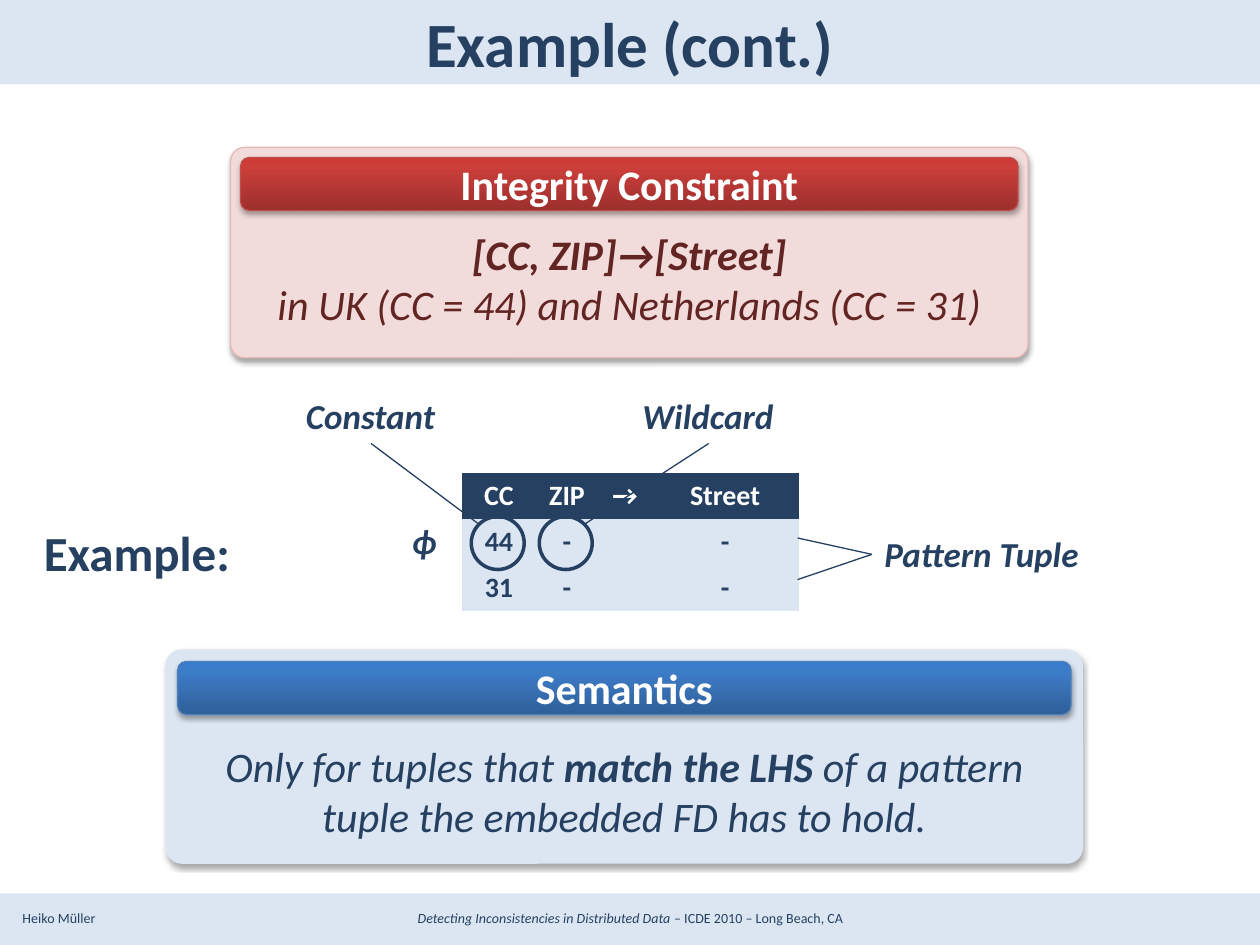
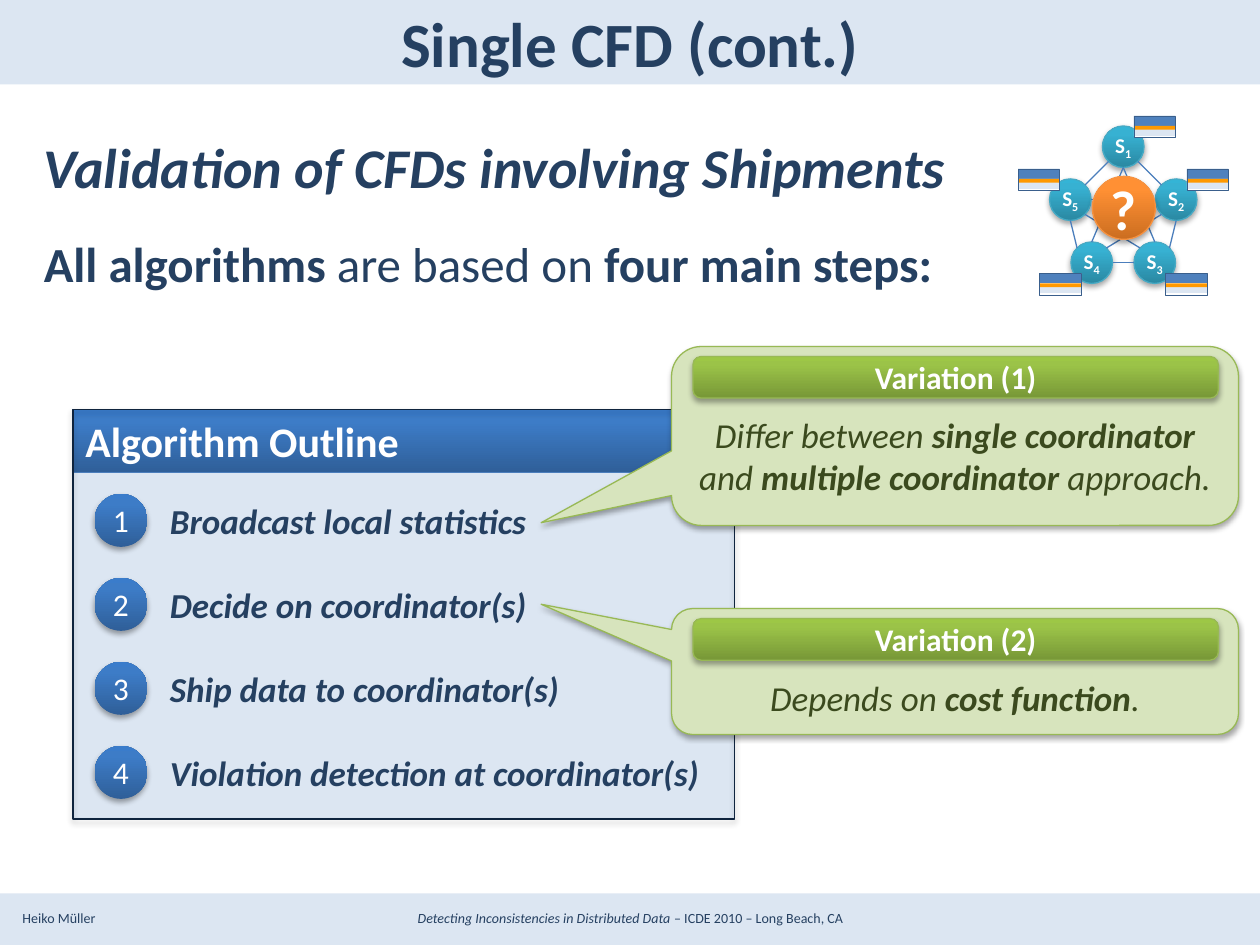
import copy
import math

import pptx
import pptx.dml.color
import pptx.enum.shapes
import pptx.enum.text
import pptx.oxml.ns
import pptx.oxml.xmlchemy
import pptx.util
import lxml.etree

Inches = pptx.util.Inches
Pt = pptx.util.Pt
RGBColor = pptx.dml.color.RGBColor
Shape = pptx.enum.shapes.MSO_SHAPE
Align = pptx.enum.text.PP_ALIGN
Anchor = pptx.enum.text.MSO_ANCHOR
qn = pptx.oxml.ns.qn

FONT = "Calibri"
NO_GRID_STYLE = "{2D5ABB26-0587-4C30-8999-92F81FD0307C}"
NAVY = RGBColor(0x25, 0x40, 0x61)
PALE_BLUE = RGBColor(0xDC, 0xE6, 0xF2)
WHITE = RGBColor(0xFF, 0xFF, 0xFF)
BLUE_EDGE = RGBColor(0x4B, 0x7E, 0xBC)
OUTLINE_EDGE = RGBColor(0x0F, 0x24, 0x3E)
PINK = RGBColor(0xF2, 0xDC, 0xDB)
PINK_EDGE = RGBColor(0xE6, 0xB9, 0xB8)
RED_EDGE = RGBColor(0xBF, 0x4C, 0x48)
DARK_RED = RGBColor(0x63, 0x25, 0x23)
PALE_GREEN = RGBColor(0xD7, 0xE4, 0xBD)
GREEN_EDGE = RGBColor(0x98, 0xB9, 0x55)
DARK_GREEN = RGBColor(0x3B, 0x4A, 0x1E)
TEAL_EDGE = RGBColor(0x46, 0xAA, 0xC5)
ORANGE_EDGE = RGBColor(0xF6, 0x92, 0x40)
FLAG_BLUE = RGBColor(0x4F, 0x81, 0xBD)
FLAG_ORANGE = RGBColor(0xFF, 0x99, 0x00)
FLAG_EDGE = RGBColor(0x3A, 0x5F, 0x8C)
BLUE_BLEND = (RGBColor(0x2F, 0x5F, 0x99), RGBColor(0x3D, 0x7C, 0xC7), RGBColor(0x3A, 0x7C, 0xCB))
RED_BLEND = (RGBColor(0x9C, 0x2F, 0x2D), RGBColor(0xCB, 0x3E, 0x3A), RGBColor(0xCE, 0x3B, 0x37))
TEAL_BLEND = (RGBColor(0x2A, 0x88, 0xA2), RGBColor(0x37, 0xB1, 0xD2), RGBColor(0x34, 0xB4, 0xD6))
ORANGE_BLEND = (RGBColor(0xCC, 0x6E, 0x20), RGBColor(0xFF, 0x90, 0x34), RGBColor(0xFF, 0x91, 0x36))
GREEN_BLEND = (RGBColor(0x77, 0x97, 0x37), RGBColor(0x9B, 0xC3, 0x48), RGBColor(0x9D, 0xC7, 0x46))


def format_span(span, size, color, style=""):
    span.font.name = FONT
    span.font.size = Pt(size)
    span.font.color.rgb = color
    span.font.bold = "b" in style
    span.font.italic = "i" in style


def write(box, lines, size, color, align=Align.LEFT, anchor=Anchor.TOP, wrap=True):
    frame = box.text_frame
    frame.word_wrap = wrap
    frame.vertical_anchor = anchor
    for number, line in enumerate(lines):
        para = frame.add_paragraph() if number else frame.paragraphs[0]
        para.alignment = align
        for text, style in line:
            span = para.add_run()
            span.text = text
            format_span(span, size, color, style)
    return frame


def add_label(page, left, top, width, height, lines, size, **options):
    box = page.shapes.add_textbox(Inches(left), Inches(top), Inches(width), Inches(height))
    write(box, lines, size, NAVY, **options)
    return box


def blend(box, colors):
    box.fill.gradient()
    box.fill.gradient_angle = 90
    stops = box._element.spPr.find(".//" + qn("a:gsLst"))
    stops.append(copy.deepcopy(stops[-1]))
    for stop, color, position in zip(box.fill.gradient_stops, colors, (0, 0.8, 1)):
        stop.color.rgb = color
        stop.position = position


def cast_shadow(box):
    effects = box._element.spPr.find(qn("a:effectLst"))
    shadow = lxml.etree.SubElement(effects, qn("a:outerShdw"), blurRad="40000", dist="23000",
                                   dir="5400000", rotWithShape="0")
    tint = lxml.etree.SubElement(shadow, qn("a:srgbClr"), val="000000")
    lxml.etree.SubElement(tint, qn("a:alpha"), val="35000")


def add_box(page, kind, left, top, width, height, fill=None, edge=None, weight=0.75,
            shadow=False, adjust=()):
    box = page.shapes.add_shape(kind, Inches(left), Inches(top), Inches(width), Inches(height))
    box.shadow.inherit = False
    if fill is None:
        box.fill.background()
    elif isinstance(fill, RGBColor):
        box.fill.solid()
        box.fill.fore_color.rgb = fill
    else:
        blend(box, fill)
    if edge is None:
        box.line.fill.background()
    else:
        box.line.color.rgb = edge
        box.line.width = Pt(weight)
    if shadow:
        cast_shadow(box)
    for number, value in enumerate(adjust):
        box.adjustments[number] = value
    return box


def add_line(page, start, end, color=NAVY):
    line = page.shapes.add_connector(pptx.enum.shapes.MSO_CONNECTOR.STRAIGHT,
                                     *(Inches(value) for value in (*start, *end)))
    line.line.color.rgb = color
    line.line.width = Pt(0.75)
    lxml.etree.SubElement(line._element.spPr, qn("a:effectLst"))
    return line


def add_banner(page, left, top, width, height, text, size, colors, edge, adjust=()):
    banner = add_box(page, Shape.ROUNDED_RECTANGLE, left, top, width, height, colors, edge,
                     shadow=True, adjust=adjust)
    write(banner, [[(text, "b")]], size, WHITE, Align.CENTER, Anchor.MIDDLE)


def add_disc(page, left, top, size, parts, font_size, colors, edge=None):
    disc = add_box(page, Shape.OVAL, left, top, size, size, colors, edge, shadow=True)
    frame = write(disc, [parts], font_size, WHITE, Align.CENTER, Anchor.MIDDLE, False)
    frame.margin_left = frame.margin_right = frame.margin_top = frame.margin_bottom = 0
    return frame.paragraphs[0].runs


def add_page(deck, title):
    page = deck.slides.add_slide(deck.slide_layouts[5])
    add_box(page, Shape.RECTANGLE, 0, 0.67, 10, 6.42, WHITE)
    add_label(page, 0.08, 7.17, 1, 0.24, [[("Heiko Müller", "")]], 8)
    add_label(page, 0.17, 7.17, 9.67, 0.24,
              [[("Detecting Inconsistencies in Distributed Data ", "i"),
                ("– ICDE 2010 – Long Beach, CA", "")]], 8, align=Align.CENTER)
    heading = page.shapes.title
    heading.left, heading.top = Inches(0.5), 0
    heading.width, heading.height = Inches(9), Inches(0.67)
    write(heading, [[(title, "b")]], 36, NAVY, Align.CENTER, Anchor.MIDDLE)
    return page


def add_card(page, left, top, width, height, title, lines, text_color, fill, edge, weight,
             colors, banner_edge, top_margin):
    card = add_box(page, Shape.ROUNDED_RECTANGLE, left, top, width, height, fill, edge, weight,
                   True, (0.067,))
    frame = write(card, lines, 24, text_color, Align.CENTER, Anchor.MIDDLE)
    frame.margin_top = Inches(top_margin)
    add_banner(page, left + 0.08, top + 0.08, width - 0.16, 0.42, title, 24, colors, banner_edge)


def add_tableau(page, left, top):
    rows = (("CC", "ZIP", "→", "Street"), ("44", "-", "", "-"), ("31", "-", "", "-"))
    widths = (0.58, 0.5, 0.42, 1.17)
    table = page.shapes.add_table(len(rows), len(widths), Inches(left), Inches(top),
                                  Inches(sum(widths)), Inches(1.1)).table
    table._tbl.tblPr.find(qn("a:tableStyleId")).text = NO_GRID_STYLE
    for column, width in zip(table.columns, widths):
        column.width = Inches(width)
    for row_number, row in enumerate(rows):
        for column_number, text in enumerate(row):
            cell = table.cell(row_number, column_number)
            cell.fill.solid()
            cell.fill.fore_color.rgb = PALE_BLUE if row_number else NAVY
            cell.vertical_anchor = Anchor.MIDDLE
            cell.text_frame.text = text
            para = cell.text_frame.paragraphs[0]
            para.alignment = Align.CENTER
            if not text:
                para._p.get_or_add_endParaRPr().set("sz", "1600")
            for span in para.runs:
                format_span(span, 16, NAVY if row_number else WHITE, "b")


def add_tableau_notes(page, left, top):
    add_label(page, left - 3.42, top + 0.35, 9.5, 0.58, [[("Example:", "b")]], 28)
    tuple_label = add_label(page, left + 3.25, top + 0.43, 1.76, 0.44,
                            [[("Pattern Tuple", "bi")]], 20, wrap=False)
    for height in (0.52, 0.85):
        line = add_line(page, (left + 3.25, top + 0.65), (left + 2.66, top + height))
        line.begin_connect(tuple_label, 1)
    for text, label_left, width, ring_left, touch in (("Wildcard", 1.33, 1.25, 0.61, 0.36),
                                                      ("Constant", -1.34, 1.23, 0.07, 0.06)):
        add_box(page, Shape.OVAL, left + ring_left, top + 0.35, 0.42, 0.42, edge=NAVY, weight=2)
        label = add_label(page, left + label_left, top - 0.67, width, 0.44,
                          [[(text, "bi")]], 20, wrap=False)
        line = add_line(page, (left + ring_left + touch, top + 0.41),
                        (left + label_left + width / 2, top - 0.23))
        line.end_connect(label, 2)


def add_outline(page, left, top, width, height):
    add_box(page, Shape.RECTANGLE, left, top, width, height, PALE_BLUE)
    header = add_box(page, Shape.RECTANGLE, left, top, width, 0.5, BLUE_BLEND, BLUE_EDGE)
    write(header, [[("Algorithm Outline", "b")]], 24, WHITE, anchor=Anchor.MIDDLE)
    steps = ("Broadcast local statistics", "Decide on coordinator(s)",
             "Ship data to coordinator(s)", "Violation detection at coordinator(s)")
    for number, step in enumerate(steps):
        step_top = top + 0.67 + number * 2 / 3
        add_disc(page, left + 0.17, step_top, 0.42, [(str(number + 1), "")], 18, BLUE_BLEND)
        add_label(page, left + 0.67, step_top, width - 0.67, 0.42, [[(step, "bi")]], 20,
                  anchor=Anchor.MIDDLE)
    add_box(page, Shape.RECTANGLE, left, top, width, height, edge=OUTLINE_EDGE, shadow=True)


def add_flag(page, left, top):
    width, stripe = 0.33, 0.08
    add_box(page, Shape.RECTANGLE, left, top, width, stripe, FLAG_BLUE, WHITE, 0.25)
    add_box(page, Shape.RECTANGLE, left, top + stripe, width, stripe, PALE_BLUE, WHITE, 0.25)
    add_box(page, Shape.RECTANGLE, left, top + stripe, width, 0.03, FLAG_ORANGE)
    add_box(page, Shape.RECTANGLE, left, top, width, 0.17, edge=FLAG_EDGE, weight=0.25)


def add_network(page, left, top):
    size = 0.33
    sites = {1: (0.67, 0.08), 5: (0.25, 0.5), 2: (1.09, 0.5), 4: (0.42, 1), 3: (0.92, 1)}
    links = ((1, 45, 2, 225), (2, 90, 3, 315), (4, 0, 3, 180), (4, 225, 5, 90), (5, 315, 1, 135),
             (5, 0, 2, 180), (5, 45, 3, 225), (2, 135, 4, 315), (4, 270, 1, 90), (1, 90, 3, 270))
    flags = {5: (-0.25, -0.08), 1: (0.25, -0.08), 2: (0.25, -0.08), 3: (0.25, 0.25),
             4: (-0.25, 0.25)}

    def rim(site, degrees):
        angle = math.radians(degrees)
        across, down = sites[site]
        return (left + across + size / 2 * (1 + math.cos(angle)),
                top + down + size / 2 * (1 + math.sin(angle)))

    for site, (across, down) in sites.items():
        spans = add_disc(page, left + across, top + down, size, [("S", "b"), (str(site), "b")],
                         12, TEAL_BLEND, TEAL_EDGE)
        spans[1].font._element.set("baseline", "-25000")
    for first, first_angle, second, second_angle in links:
        add_line(page, rim(first, first_angle), rim(second, second_angle), BLUE_EDGE)
    add_disc(page, left + 0.59, top + 0.48, 0.5, [("?", "b")], 32, ORANGE_BLEND, ORANGE_EDGE)
    for site, (shift, drop) in flags.items():
        add_flag(page, left + sites[site][0] + shift, top + sites[site][1] + drop)


def add_variation(page, left, top, height, title, parts, pointer, top_margin):
    callout = add_box(page, Shape.ROUNDED_RECTANGULAR_CALLOUT, left, top, 4.5, height, PALE_GREEN,
                      GREEN_EDGE, shadow=True, adjust=(*pointer, 0.167))
    frame = write(callout, [parts], 20, DARK_GREEN, Align.CENTER, Anchor.MIDDLE)
    frame.margin_top = Inches(top_margin)
    add_banner(page, left + 0.17, top + 0.08, 4.17, 0.33, title, 18, GREEN_BLEND, GREEN_EDGE,
               (0.198,))


def build_example(deck):
    page = add_page(deck, "Example (cont.)")
    add_label(page, 3.17, 3.75, 0.5, 1.08, [[("ϕ", "bi")]], 20, anchor=Anchor.MIDDLE)
    add_tableau(page, 3.67, 3.75)
    add_tableau_notes(page, 3.67, 3.75)
    add_card(page, 1.83, 1.17, 6.33, 1.67, "Integrity Constraint",
             [[("[CC, ZIP]→[Street]", "bi")],
              [("in UK (CC = 44) and Netherlands (CC = 31)", "i")]],
             DARK_RED, PINK, PINK_EDGE, 0.75, RED_BLEND, RED_EDGE, 0.46)
    add_card(page, 1.33, 5.17, 7.25, 1.67, "Semantics",
             [[("Only for tuples that ", "i"), ("match the LHS ", "bi"),
               ("of a pattern tuple the embedded FD has to hold.", "i")]],
             NAVY, PALE_BLUE, PALE_BLUE, 2.25, BLUE_BLEND, BLUE_EDGE, 0.59)


def build_single_cfd(deck):
    page = add_page(deck, "Single CFD (cont.)")
    intro = add_label(page, 0.25, 1, 9.5, 2.5,
                      [[("Validation of CFDs involving Shipments", "bi")],
                       [("All algorithms ", "b"), ("are based on ", ""),
                        ("four main steps:", "b")]], 28)
    intro.text_frame.paragraphs[0].runs[0].font.size = Pt(32)
    intro.text_frame.paragraphs[1].space_before = Pt(19.5)
    add_outline(page, 0.58, 3.25, 5.25, 3.25)
    add_network(page, 8.08, 0.92)
    add_variation(page, 5.33, 2.75, 1.42, "Variation (1)",
                  [("Differ between ", "i"), ("single coordinator", "bi"), (" and ", "i"),
                   ("multiple coordinator", "bi"), (" approach.", "i")], (-0.73, 0.485), 0.36)
    add_variation(page, 5.33, 4.83, 1, "Variation (2)",
                  [("Depends on ", "i"), ("cost function", "bi"), (".", "i")],
                  (-0.73, -0.534), 0.46)


def main():
    deck = pptx.Presentation()
    deck.slide_width, deck.slide_height = Inches(10), Inches(7.5)
    backdrop = deck.slide_master.background.fill
    backdrop.solid()
    backdrop.fore_color.rgb = PALE_BLUE
    build_example(deck)
    build_single_cfd(deck)
    deck.save("out.pptx")


if __name__ == "__main__":
    main()
